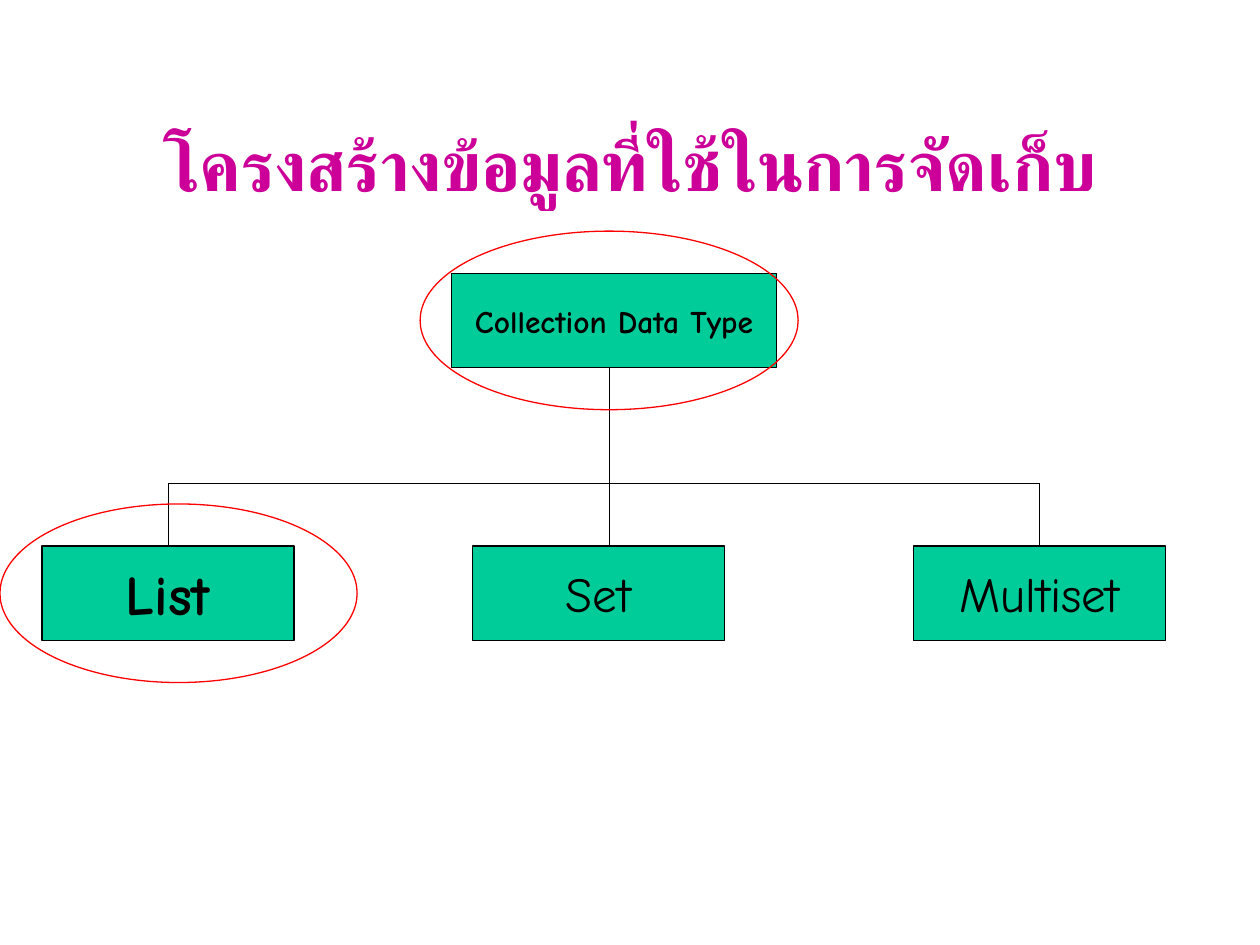
from lxml.etree import SubElement
from pptx import Presentation
from pptx.dml.color import RGBColor
from pptx.enum.shapes import MSO_CONNECTOR, MSO_SHAPE
from pptx.enum.text import MSO_ANCHOR, PP_ALIGN
from pptx.oxml.ns import qn
from pptx.util import Cm, Pt

BLACK = RGBColor(0x00, 0x00, 0x00)
GREEN = RGBColor(0x00, 0xCC, 0x99)
RED = RGBColor(0xFF, 0x00, 0x00)
PINK = RGBColor(0xCC, 0x00, 0x99)
FONT = "Comic Neue"

TITLE = "โครงสร้างข้อมูลที่ใช้ในการจัดเก็บ"
ROOT = ("Collection Data Type", 9.1, 5.51, 6.56, 18, True)
KIDS = [
    ("List", 0.85, 32, True),
    ("Set", 9.53, 28, False),
    ("Multiset", 18.42, 28, False),
]
RINGS = [(0, 10.16, 7.2), (8.47, 4.66, 7.62)]
KID_TOP, KID_WIDE = 11.01, 5.08
BOX_HIGH, RING_HIGH = 1.9, 3.6
STEM, BAR = 12.28, 9.74


def write(shape, text, size, bold, color, wrap):
    frame = shape.text_frame
    frame.word_wrap = wrap
    frame.vertical_anchor = MSO_ANCHOR.MIDDLE
    para = frame.paragraphs[0]
    para.alignment = PP_ALIGN.CENTER
    run = para.add_run()
    run.text = text
    font = run.font
    font.name, font.size, font.bold = FONT, Pt(size), bold
    font.color.rgb = color
    SubElement(run._r.get_or_add_rPr(), qn("a:cs"), typeface=FONT)


def add_shape(kind, left, top, wide, high, color):
    shape = slide.shapes.add_shape(kind, Cm(left), Cm(top), Cm(wide), Cm(high))
    shape.shadow.inherit = False
    shape.line.color.rgb = color
    shape.line.width = Pt(0.75)
    return shape


def add_box(text, left, top, wide, size, bold):
    box = add_shape(MSO_SHAPE.RECTANGLE, left, top, wide, BOX_HIGH, BLACK)
    box.fill.solid()
    box.fill.fore_color.rgb = GREEN
    write(box, text, size, bold, BLACK, False)
    return box


def add_line(x1, y1, x2, y2):
    line = slide.shapes.add_connector(
        MSO_CONNECTOR.STRAIGHT, Cm(x1), Cm(y1), Cm(x2), Cm(y2))
    line.line.color.rgb = BLACK
    line.line.width = Pt(0.75)
    SubElement(line._element.spPr, qn("a:effectLst"))
    return line


deck = Presentation()
deck.slide_width, deck.slide_height = Cm(25.4), Cm(19.05)
slide = deck.slides.add_slide(deck.slide_layouts[6])

title = slide.shapes.add_textbox(Cm(1.9), Cm(1.7), Cm(21.6), Cm(3.18))
write(title, TITLE, 40, True, PINK, True)

add_box(*ROOT)
add_line(STEM, ROOT[2] + BOX_HIGH, STEM, BAR)
mids = [left + KID_WIDE / 2 for _, left, _, _ in KIDS]
add_line(mids[0], BAR, mids[-1], BAR)

for (text, left, size, bold), mid in zip(KIDS, mids):
    box = add_box(text, left, KID_TOP, KID_WIDE, size, bold)
    if text == "Set":
        add_line(STEM, BAR, STEM, KID_TOP)
    else:
        add_line(mid, BAR, mid, KID_TOP).end_connect(box, 0)

for left, top, wide in RINGS:
    ring = add_shape(MSO_SHAPE.OVAL, left, top, wide, RING_HIGH, RED)
    ring.fill.background()

deck.save("out.pptx")
